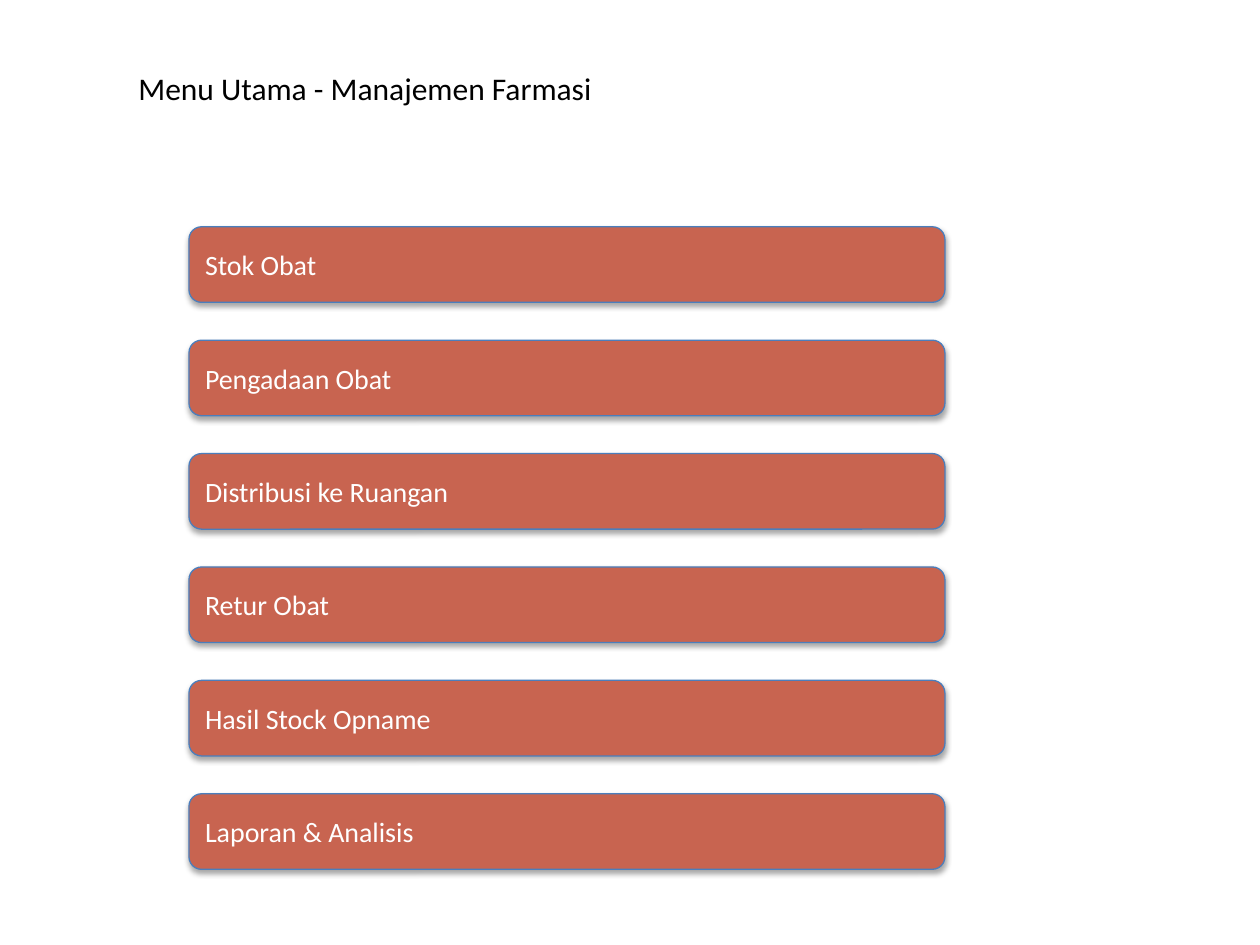
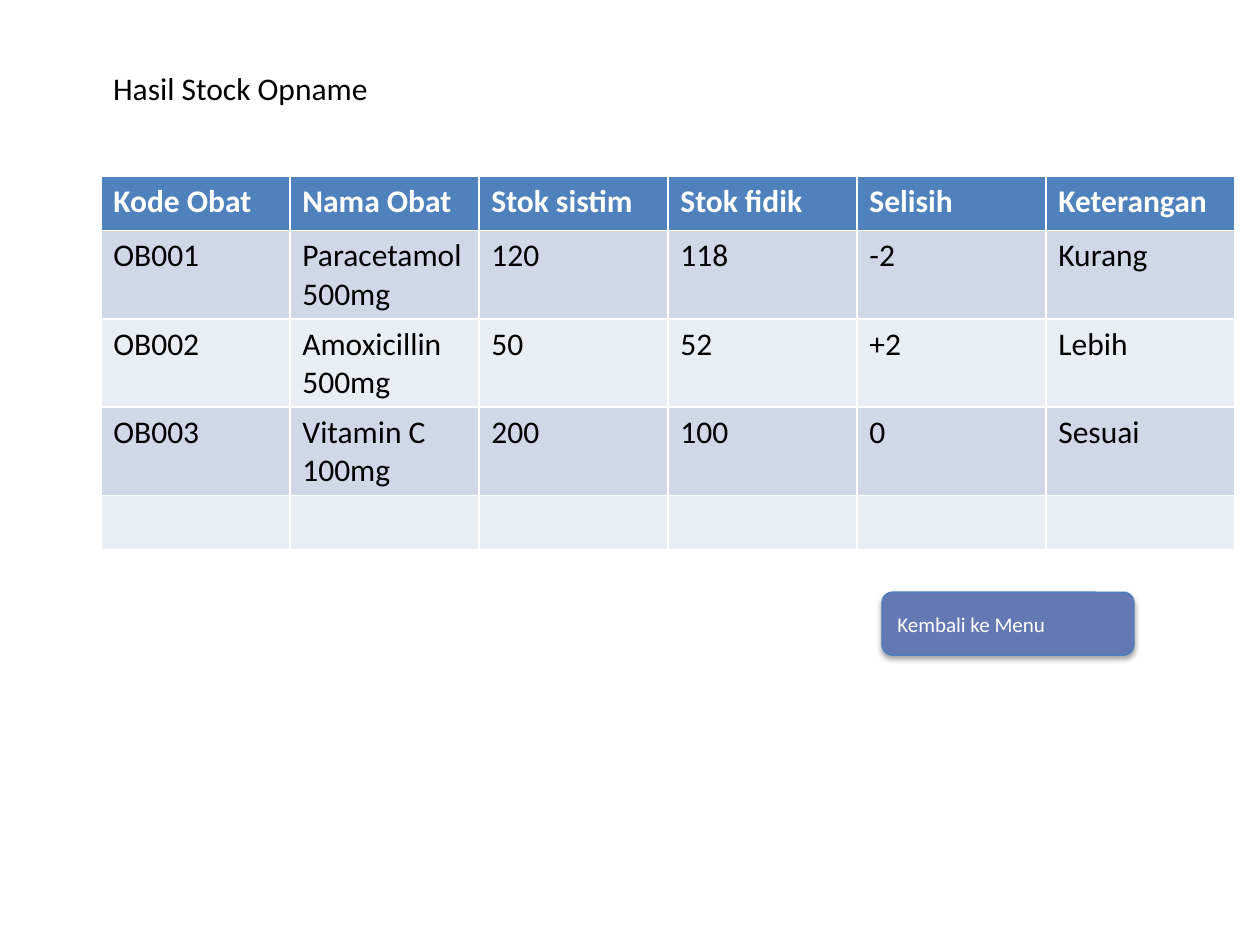
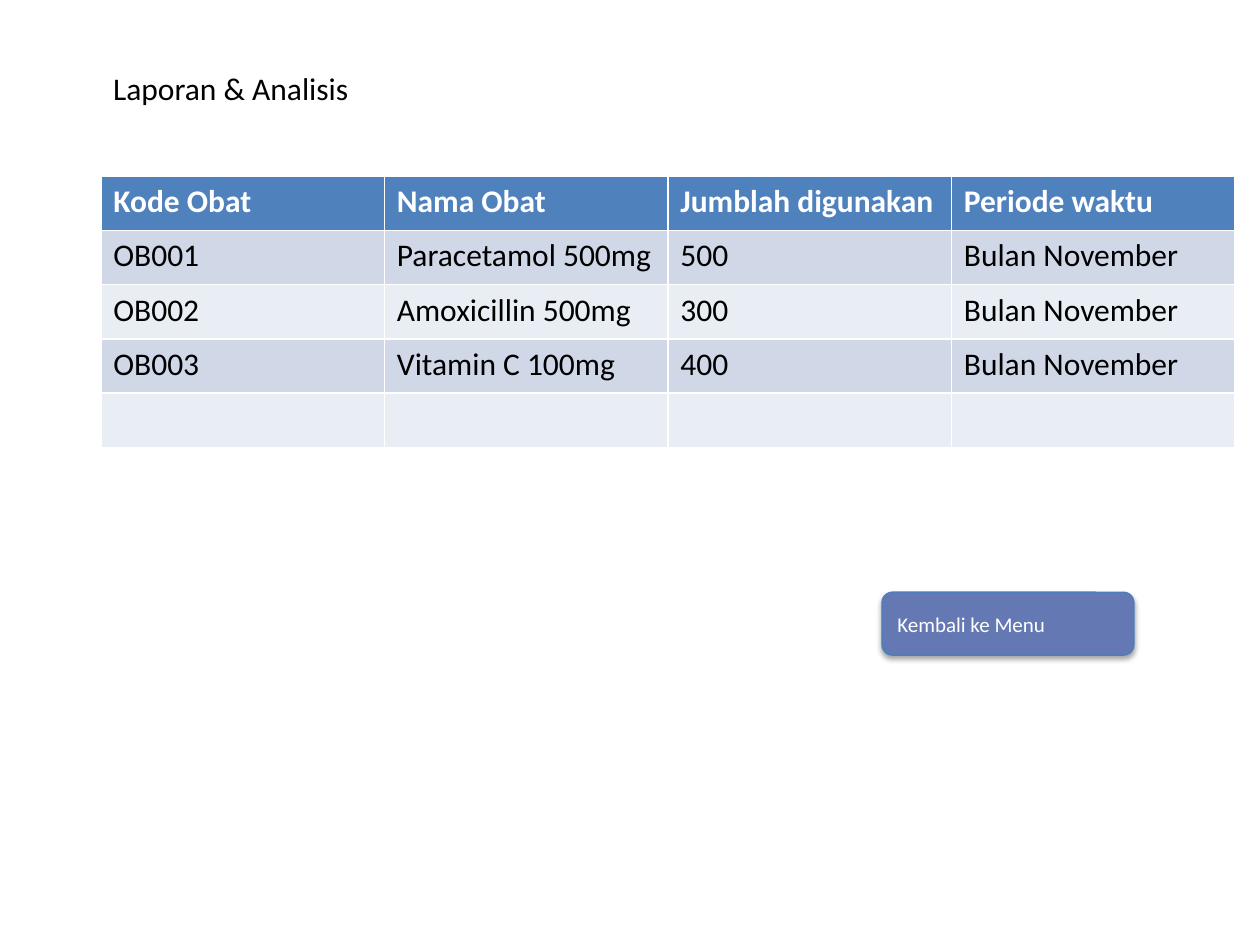
import dataclasses

import pptx
import pptx.dml.color
import pptx.enum.shapes
import pptx.enum.text
import pptx.util


@dataclasses.dataclass(frozen=True)
class Theme:
    font: str = "Calibri"
    title_size: int = 18
    table_size: int = 18
    menu_size: int = 16
    back_size: int = 12
    dark_text: str = "000000"
    light_text: str = "FFFFFF"
    menu_fill: str = "C86450"
    back_fill: str = "6478B4"
    button_line: str = "4B7EBC"
    header_fill: str = "4F81BD"
    band_fills: tuple = ("D0D8E8", "E9EDF4")


theme = Theme()
rgb = pptx.dml.color.RGBColor.from_string

presentation = pptx.Presentation()
presentation.slide_width = pptx.util.Inches(10)
presentation.slide_height = pptx.util.Inches(7.5)
column = presentation.slide_width // 100
row = presentation.slide_height // 75
blank_layout = presentation.slide_layouts[6]


def write_text(text_frame, text, size, color, bold=False):
    paragraph = text_frame.paragraphs[0]
    paragraph.alignment = pptx.enum.text.PP_ALIGN.LEFT
    run = paragraph.add_run()
    run.text = text
    run.font.color.rgb = rgb(color)
    font_values = {"name": theme.font, "size": pptx.util.Pt(size), "bold": bold}
    for name, value in font_values.items():
        setattr(run.font, name, value)


def add_button(slide, text, left, top, width, height, fill, size):
    """Add a rounded button that keeps the soft shadow of the document theme."""
    button = slide.shapes.add_shape(
        pptx.enum.shapes.MSO_SHAPE.ROUNDED_RECTANGLE,
        left * column, top * row, width * column, height * row)
    button.fill.solid()
    button.fill.fore_color.rgb = rgb(fill)
    button.line.color.rgb = rgb(theme.button_line)
    button.line.width = pptx.util.Pt(0.75)
    button.text_frame.vertical_anchor = pptx.enum.text.MSO_ANCHOR.MIDDLE
    write_text(button.text_frame, text, size, theme.light_text)


menu_items = ["Stok Obat", "Pengadaan Obat", "Distribusi ke Ruangan",
              "Retur Obat", "Hasil Stock Opname", "Laporan & Analisis"]
stock_rows = [
    ["Kode Obat", "Nama Obat", "Stok sistim", "Stok fidik", "Selisih", "Keterangan"],
    ["OB001", "Paracetamol 500mg", "120", "118", "-2", "Kurang"],
    ["OB002", "Amoxicillin 500mg", "50", "52", "+2", "Lebih"],
    ["OB003", "Vitamin C 100mg", "200", "100", "0", "Sesuai"],
    [""] * 6,
]
usage_rows = [
    ["Kode Obat", "Nama Obat", "Jumblah digunakan", "Periode waktu"],
    ["OB001", "Paracetamol 500mg", "500", "Bulan November"],
    ["OB002", "Amoxicillin 500mg", "300", "Bulan November"],
    ["OB003", "Vitamin C 100mg", "400", "Bulan November"],
    [""] * 4,
]

# Title, left edge and width in grid columns, table rows
pages = [
    ("Menu Utama - Manajemen Farmasi", 10, 41.1, None),
    ("Hasil Stock Opname", 8, 24.3, stock_rows),
    ("Laporan & Analisis", 8, 22.4, usage_rows),
]

for title, left, width, table_rows in pages:
    slide = presentation.slides.add_slide(blank_layout)
    title_box = slide.shapes.add_textbox(
        left * column, 5 * row, int(width * column), int(3.9 * row))
    title_box.text_frame.word_wrap = False
    title_box.text_frame.auto_size = pptx.enum.text.MSO_AUTO_SIZE.SHAPE_TO_FIT_TEXT
    write_text(title_box.text_frame, title, theme.title_size, theme.dark_text)

    if table_rows is None:
        for index, item in enumerate(menu_items):
            add_button(slide, item, 15, 18 + 9 * index, 60, 6,
                       theme.menu_fill, theme.menu_size)
        continue

    row_height = int(4.3 * row)
    table = slide.shapes.add_table(
        len(table_rows), len(table_rows[0]), left * column, 14 * row,
        90 * column, len(table_rows) * row_height).table
    for row_index, values in enumerate(table_rows):
        is_header = row_index == 0
        fill = theme.header_fill if is_header else theme.band_fills[(row_index - 1) % 2]
        color = theme.light_text if is_header else theme.dark_text
        for column_index, value in enumerate(values):
            cell = table.cell(row_index, column_index)
            cell.fill.solid()
            cell.fill.fore_color.rgb = rgb(fill)
            if value:
                write_text(cell.text_frame, value, theme.table_size, color, is_header)

    add_button(slide, "Kembali ke Menu", 70, 47, 20, 5, theme.back_fill, theme.back_size)

presentation.save("out.pptx")
